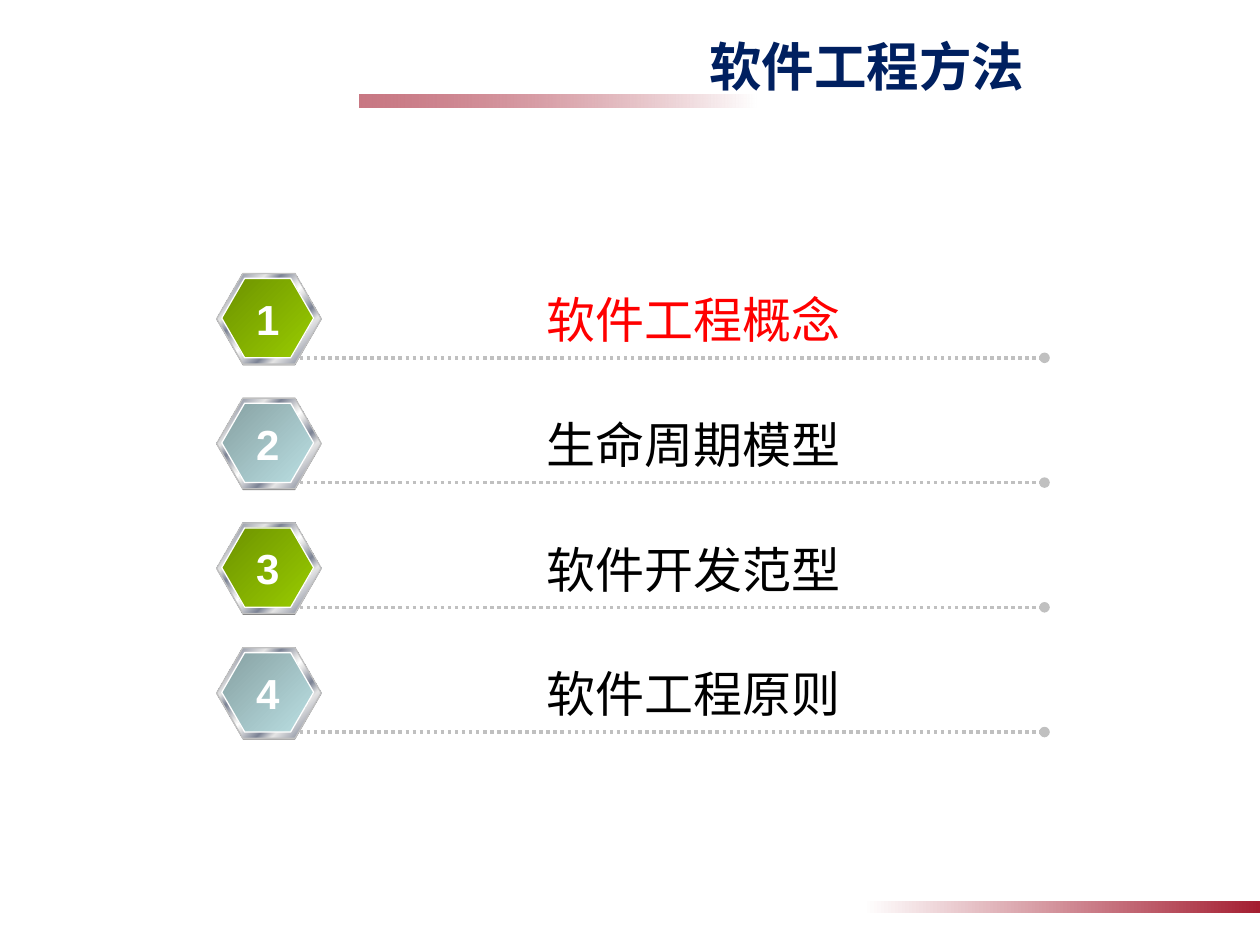
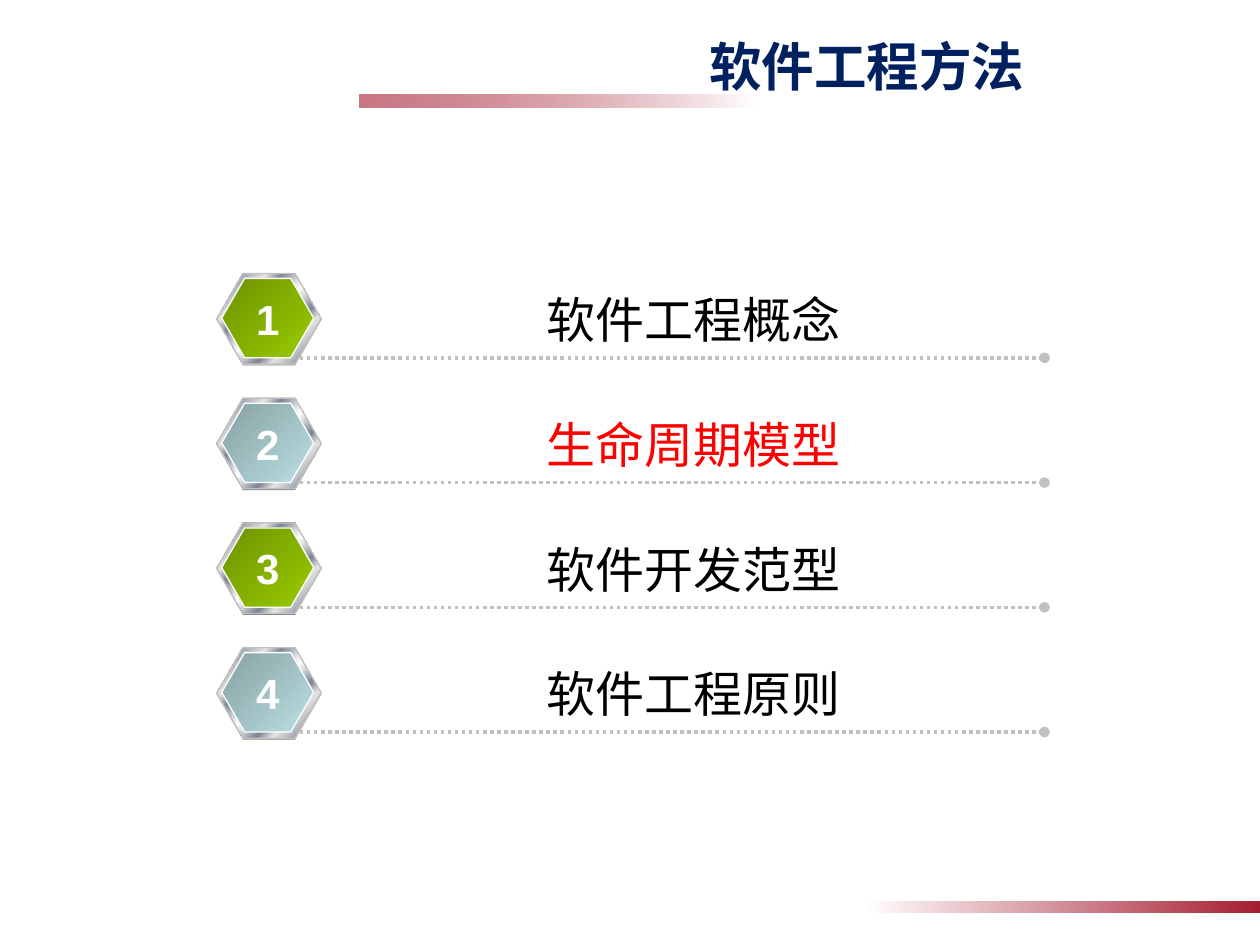
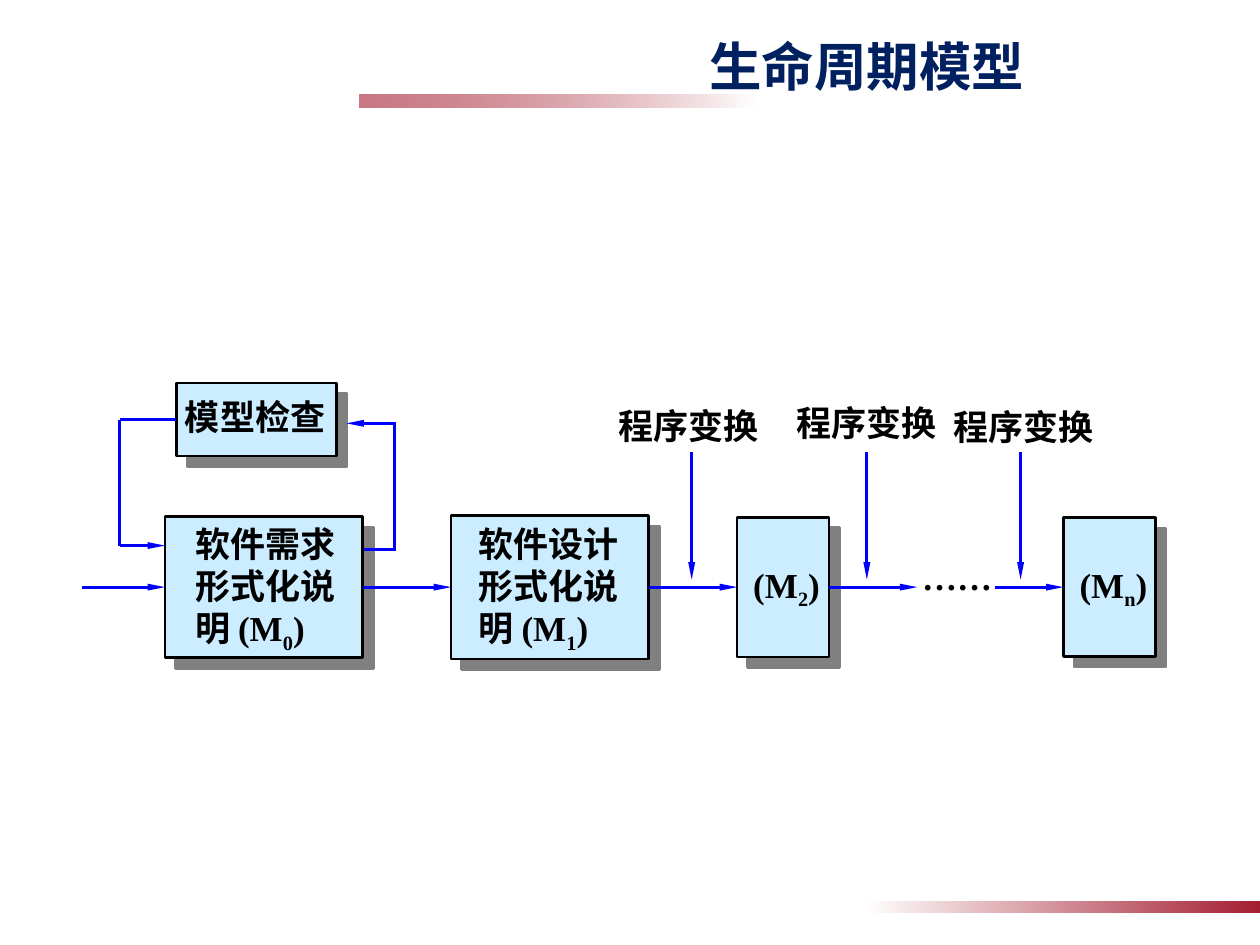
"""Builds three slides on software engineering methods and life cycle models."""
from lxml import etree
from pptx import Presentation, util as u
from pptx.dml.color import RGBColor
from pptx.enum import dml, shapes, text
from pptx.oxml import ns

NAVY = RGBColor(0x00, 0x20, 0x60)
WINE = RGBColor(0xA4, 0x1E, 0x31)
RED = RGBColor(0xFF, 0x00, 0x00)
BLUE = RGBColor(0x00, 0x00, 0xFF)
SKY = RGBColor(0xCC, 0xEC, 0xFF)
BLACK = RGBColor(0x00, 0x00, 0x00)
WHITE = RGBColor(0xFF, 0xFF, 0xFF)
GREY = RGBColor(0x80, 0x80, 0x80)
SILVER = RGBColor(0xC0, 0xC0, 0xC0)
STEEL = RGBColor(0x7D, 0x84, 0x96)
PEARL = RGBColor(0xE6, 0xE6, 0xE6)
GREEN = (RGBColor(0x6D, 0x92, 0x00), RGBColor(0x99, 0xCC, 0x00))
TEAL = (RGBColor(0x86, 0xA0, 0xA2), RGBColor(0xBB, 0xE0, 0xE3))
CHROME = [(0, PEARL), (8, STEEL), (26, PEARL), (34, STEEL), (46, PEARL), (50, WHITE),
          (54, PEARL), (66, STEEL), (74, PEARL), (92, STEEL), (100, PEARL)]

HAN = "Noto Sans CJK SC"
SERIF = "Times New Roman"
SANS = "Arial"
ALIGN = text.PP_ALIGN
SHAPE = shapes.MSO_SHAPE
TOPICS = ["软件工程概念", "生命周期模型", "软件开发范型", "软件工程原则"]


def sub(node, tag, **attrs):
    """Adds a DrawingML child and returns it."""
    child = etree.SubElement(node, ns.qn(tag))
    for key, value in attrs.items():
        child.set(key, str(value))
    return child


class Deck:
    """Holds the shared style and the current slide."""

    def __init__(self):
        """Opens an empty deck of 10 by 7.5 inches."""
        self.prs = Presentation()
        self.prs.slide_width = u.Inches(10)
        self.prs.slide_height = u.Inches(7.5)

    def page(self, title):
        """Starts a slide with its bands and title."""
        slide = self.prs.slides.add_slide(self.prs.slide_layouts[5])
        self.items = slide.shapes
        band = self.shape(SHAPE.RECTANGLE, 2.85, 0.75, 3.15, 0.1)
        band.rotation = 180
        self.blend(band, [(0, WHITE), (100, WINE)], 0, 60)
        band = self.shape(SHAPE.RECTANGLE, 6.85, 7.15, 3.15, 0.1)
        self.blend(band, [(0, WHITE), (100, WINE)], 0)
        head = slide.shapes.title
        head.left, head.top, head.width, head.height = map(u.Inches, (3.76, 0.21, 6.24, 0.63))
        frame = head.text_frame
        frame.text = title
        frame.auto_size = text.MSO_AUTO_SIZE.NONE
        frame.vertical_anchor = text.MSO_ANCHOR.MIDDLE
        frame.margin_left = frame.margin_right = u.Inches(0.08)
        frame.margin_top, frame.margin_bottom = u.Inches(0.04), u.Inches(0.05)
        self.style(frame, 30, HAN, NAVY, True, ALIGN.CENTER)

    def style(self, frame, size, face, color, bold, align):
        """Formats every run of a text frame."""
        for para in frame.paragraphs:
            para.alignment = align
            for run in para.runs:
                font = run.font
                font.size, font.bold, font.name = u.Pt(size), bold, face
                font.color.rgb = color
                sub(run.font._element, "a:ea", typeface=HAN)

    def shape(self, kind, x, y, w, h, fill=None, edge=None, width=0.75):
        """Adds a preset shape without shadow."""
        item = self.items.add_shape(kind, *map(u.Inches, (x, y, w, h)))
        item.shadow.inherit = False
        if fill is not None:
            item.fill.solid()
            item.fill.fore_color.rgb = fill
        if edge is None:
            item.line.fill.background()
        else:
            item.line.color.rgb = edge
            item.line.width = u.Pt(width)
        return item

    def blend(self, item, stops, angle, alpha=100):
        """Fills a shape with a linear gradient, its last stop at the given opacity."""
        item.fill.gradient()
        grad = item._element.spPr.find(ns.qn("a:gradFill"))
        for child in list(grad):
            grad.remove(child)
        grad.set("rotWithShape", "1")
        group = sub(grad, "a:gsLst")
        for place, color in stops:
            stop = sub(group, "a:gs", pos=place * 1000)
            tint = sub(stop, "a:srgbClr", val=color)
            if place == 100 and alpha < 100:
                sub(tint, "a:alpha", val=alpha * 1000)
        sub(grad, "a:lin", ang=angle * 60000, scaled=0)

    def label(self, words, x, y, w, h, size=20, face=SERIF, color=BLACK, bold=True,
              align=ALIGN.JUSTIFY, wrap=True, grow=False):
        """Adds a text box; parts between bars become subscripts."""
        frame = self.items.add_textbox(*map(u.Inches, (x, y, w, h))).text_frame
        frame.word_wrap = wrap
        if grow:
            frame.auto_size = text.MSO_AUTO_SIZE.SHAPE_TO_FIT_TEXT
        for num, line in enumerate(words.split("\n")):
            para = frame.add_paragraph() if num else frame.paragraphs[0]
            for spot, part in enumerate(line.split("|")):
                run = para.add_run()
                run.text = part
                if spot % 2:
                    run.font._element.set("baseline", "-25000")
        self.style(frame, size, face, color, bold, align)

    def box(self, x, y, w, h):
        """Adds a pale box with a hard shadow."""
        item = self.shape(SHAPE.RECTANGLE, x, y, w, h, SKY, BLACK, 1.5)
        glow = item._element.spPr.find(ns.qn("a:effectLst"))
        cast = sub(glow, "a:outerShdw", dist=u.Pt(8.5), dir=45 * 60000,
                   algn="ctr", rotWithShape=0)
        sub(cast, "a:srgbClr", val=GREY)
        return item

    def line(self, start, end, color=BLUE, width=1.75, tip=None, dots=False):
        """Joins two ends, each a point or a pair of shape and side."""
        ends = [(0, 0) if hasattr(e[0], "shape_id") else e for e in (start, end)]
        link = self.items.add_connector(
            shapes.MSO_CONNECTOR.STRAIGHT, *(u.Inches(v) for e in ends for v in e))
        for mark, join in ((start, link.begin_connect), (end, link.end_connect)):
            if hasattr(mark[0], "shape_id"):
                join(*mark)
        link.line.color.rgb = color
        link.line.width = u.Pt(width)
        if dots:
            link.line.dash_style = dml.MSO_LINE.ROUND_DOT
        if tip:
            size = {"w": "sm", "len": "lg"} if tip == "triangle" else {}
            sub(link.line._get_or_add_ln(), "a:tailEnd", type=tip, **size)
        sub(link._element.spPr, "a:effectLst")

    def badge(self, y, tones):
        """Adds a grouped metal hexagon with a coloured core."""
        page = self.items
        self.items = page.add_group_shape().shapes
        base = self.shape(SHAPE.HEXAGON, 1.72, y + 0.01, 0.83, 0.72, GREY)
        rim = self.shape(SHAPE.HEXAGON, 1.72, y, 0.83, 0.72, edge=SILVER)
        core = self.shape(SHAPE.HEXAGON, 1.76, y + 0.04, 0.73, 0.63, edge=WHITE)
        for item in (base, rim, core):
            item.adjustments[0] = 0.289
        self.blend(rim, CHROME, 45)
        self.blend(core, list(zip((0, 100), tones)), 45)
        self.items = page

    def agenda(self, active):
        """Draws the numbered topics with the active one in red."""
        self.page("软件工程方法")
        for num, topic in enumerate(TOPICS):
            y = 2.17 + 0.99 * num
            self.badge(y, TEAL if num % 2 else GREEN)
            self.line((2.38, y + 0.67), (8.29, y + 0.67), SILVER, 2, "oval", True)
            self.label(topic, 2.72, y + 0.08, 5.57, 0.57, 28, HAN,
                       RED if num == active else BLACK, False, ALIGN.CENTER, grow=True)
            self.label(str(num + 1), 1.93, y + 0.11, 0.39, 0.5, 24, SANS, WHITE,
                       True, ALIGN.CENTER, False, True)

    def model(self):
        """Draws the chain of formal model transformations."""
        self.page("生命周期模型")
        mid, high, low = 4.66, 3.33, 4.33
        need, plan, second, last = [
            self.box(x, mid - h / 2, w, h)
            for x, w, h in ((1.31, 1.57, 1.12), (3.58, 1.57, 1.14),
                            (5.85, 0.73, 1.11), (8.44, 0.73, 1.1))]
        check = self.box(1.4, 3.04, 1.27, 0.58)
        for start, end in (((0.65, mid), (need, 1)), ((need, 3), (plan, 1)),
                           ((plan, 3), (second, 1)), ((second, 3), (7.28, mid)),
                           ((7.9, mid), (last, 1)), ((0.95, low), (1.31, low)),
                           ((3.14, 3.36), (2.75, 3.36))):
            self.line(start, end, tip="triangle")
        for start, end in (((check, 1), (0.95, high)), ((0.95, high), (0.95, low)),
                           ((3.13, 3.35), (3.13, 4.36)), ((3.14, 4.36), (2.89, 4.36))):
            self.line(start, end)
        for x in (5.49, 6.88, 8.1):
            self.line((x, 3.59), (x, 4.6), tip="triangle")
        for x, y in ((4.81, 3.16), (6.22, 3.14), (7.47, 3.17)):
            self.label("程序变换", x, y, 1.45, 0.55)
        self.label("模型检查", 1.37, 3.09, 1.37, 0.55)
        self.label("软件需求\n形式化说\n明 (M|0|)", 1.45, 4.1, 1.43, 1.17)
        self.label("软件设计\n形式化说\n明 (M|1|)", 3.7, 4.1, 1.4, 1.09)
        self.label("(M|2|)", 5.88, 4.42, 0.77, 0.58)
        self.label("(M|n|)", 8.47, 4.42, 0.77, 0.58)
        self.label("……", 7.22, 4.36, 0.81, 0.61)


def main():
    """Builds and saves the deck."""
    deck = Deck()
    deck.agenda(0)
    deck.agenda(1)
    deck.model()
    deck.prs.save("out.pptx")


if __name__ == "__main__":
    main()
